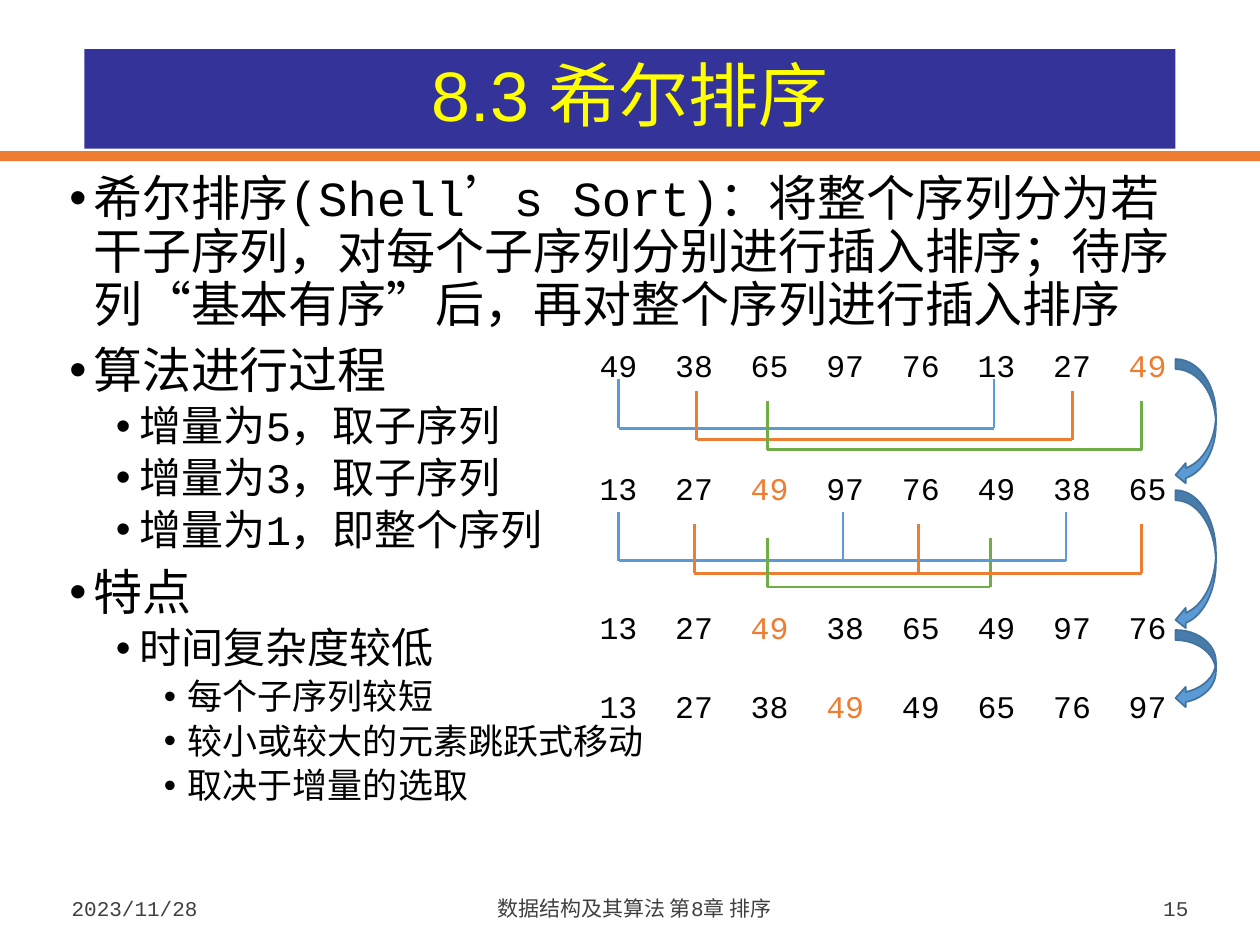
from lxml import etree
from pptx import Presentation
from pptx.dml.color import RGBColor
from pptx.enum.shapes import MSO_CONNECTOR, MSO_SHAPE
from pptx.enum.text import MSO_ANCHOR, PP_ALIGN
from pptx.oxml.ns import qn
from pptx.util import Inches, Pt

STRAIGHT = MSO_CONNECTOR.STRAIGHT
RECTANGLE = MSO_SHAPE.RECTANGLE
CURVED_ARROW = MSO_SHAPE.CURVED_LEFT_ARROW
LEFT, CENTER, RIGHT = PP_ALIGN.LEFT, PP_ALIGN.CENTER, PP_ALIGN.RIGHT
MIDDLE, BOTTOM, TOP = MSO_ANCHOR.MIDDLE, MSO_ANCHOR.BOTTOM, MSO_ANCHOR.TOP

COLORS = {
    "navy": "333399", "yellow": "FFFF00", "orange": "ED7D31", "blue": "5B9BD5",
    "green": "70AD47", "outline": "43739E", "black": "000000", "gray": "404040",
}
MONO = "Courier New"

TITLE = "8.3 希尔排序"
BODY = [
    (0, "希尔排序(Shell’s Sort)：将整个序列分为若干子序列，对每个子序列分别进行插入排序；"
        "待序列“基本有序”后，再对整个序列进行插入排序"),
    (0, "算法进行过程"),
    (1, "增量为5，取子序列"),
    (1, "增量为3，取子序列"),
    (1, "增量为1，即整个序列"),
    (0, "特点"),
    (1, "时间复杂度较低"),
    (2, "每个子序列较短"),
    (2, "较小或较大的元素跳跃式移动"),
    (2, "取决于增量的选取"),
]
LEVELS = [(28, 0.19, 7.5), (24, 0.56, 3.8), (20, 0.94, 3.8)]
FOOTERS = [
    ("2023/11/28", 0.47, 1.3, LEFT),
    ("数据结构及其算法 第8章 排序", 1.84, 6.39, CENTER),
    ("15", 8.35, 1.18, RIGHT),
]
SEQUENCES = [
    (2.7, [49, 38, 65, 97, 76, 13, 27, 49], 7),
    (3.67, [13, 27, 49, 97, 76, 49, 38, 65], 2),
    (4.78, [13, 27, 49, 38, 65, 49, 97, 76], 2),
    (5.4, [13, 27, 38, 49, 49, 65, 76, 97], 3),
]
COLUMN_PITCH = 0.6
BRACKETS = [
    ("blue", 3.01, 4.91, 7.89),
    ("orange", 3.1, 5.53, 8.51),
    ("green", 3.18, 6.09, 9.06),
    ("blue", 4.06, 4.91, 6.69),
    ("orange", 4.16, 5.51, 7.29),
    ("green", 4.27, 6.09, 7.86),
    ("blue", 4.06, 6.69, 8.46),
    ("orange", 4.16, 7.29, 9.06),
]
BRACKET_DEPTH = 0.39
ARROWS = [(2.85, 1), (3.89, 1.11), (5, 0.62)]


def color(name):
    return RGBColor.from_string(COLORS[name])


def style_font(font, size, name, color_name):
    font.size = Pt(size)
    font.name = name
    font.color.rgb = color(color_name)


def add_filled(slide, preset, box, fill, line=None):
    shape = slide.shapes.add_shape(preset, *map(Inches, box))
    shape.shadow.inherit = False
    shape.fill.solid()
    shape.fill.fore_color.rgb = color(fill)
    if line:
        shape.line.color.rgb = color(line)
        shape.line.width = Pt(1)
    else:
        shape.line.fill.background()
    return shape


def add_text_frame(slide, box, anchor=TOP):
    frame = slide.shapes.add_textbox(*map(Inches, box)).text_frame
    frame.word_wrap = True
    frame.vertical_anchor = anchor
    return frame


def add_title(slide):
    add_filled(slide, RECTANGLE, (0, 1.2, 10, 0.08), "orange")
    banner = add_filled(slide, RECTANGLE, (0.67, 0.39, 8.66, 0.79), "navy")
    banner.text_frame.vertical_anchor = MIDDLE
    paragraph = banner.text_frame.paragraphs[0]
    paragraph.text = TITLE
    paragraph.alignment = CENTER
    paragraph.line_spacing = 0.9
    style_font(paragraph.font, 40, "Arial", "yellow")


def add_footers(slide):
    for text, left, width, alignment in FOOTERS:
        frame = add_text_frame(slide, (left, 6.97, width, 0.39), BOTTOM)
        paragraph = frame.paragraphs[0]
        paragraph.text = text
        paragraph.alignment = alignment
        style_font(paragraph.font, 12, MONO, "gray")


def add_body(slide):
    frame = add_text_frame(slide, (0.47, 1.3, 9.06, 5.51))
    frame.margin_left = frame.margin_right = Inches(0.08)
    frame.margin_top = frame.margin_bottom = Inches(0.08)
    for index, (level, text) in enumerate(BODY):
        paragraph = frame.add_paragraph() if index else frame.paragraphs[0]
        size, margin, space = LEVELS[level]
        paragraph.text = text
        paragraph.level = level
        paragraph.line_spacing = 0.9
        if index:
            paragraph.space_before = Pt(space)
        properties = paragraph._p.get_or_add_pPr()
        properties.set("marL", str(Inches(margin)))
        properties.set("indent", str(-Inches(0.19)))
        etree.SubElement(properties, qn("a:buFont"), typeface="Arial")
        etree.SubElement(properties, qn("a:buChar"), char="•")
        style_font(paragraph.font, size, MONO, "black")


def add_sequence(slide, top, numbers, highlighted):
    frame = add_text_frame(slide, (4.66, top, 4.72, 0.4))
    paragraph = frame.paragraphs[0]
    tabs = etree.SubElement(paragraph._p.get_or_add_pPr(), qn("a:tabLst"))
    for column in range(1, len(numbers)):
        position = str(Inches(column * COLUMN_PITCH))
        etree.SubElement(tabs, qn("a:tab"), pos=position, algn="l")
    style_font(paragraph.font, 18, MONO, "black")
    for column, number in enumerate(numbers):
        run = paragraph.add_run()
        run.text = f"\t{number}" if column else str(number)
        if column == highlighted:
            run.font.color.rgb = color("orange")


def add_bracket(slide, color_name, top, left, right):
    group = slide.shapes.add_group_shape()
    bottom = top + BRACKET_DEPTH
    corners = [(left, top), (left, bottom), (right, bottom), (right, top)]
    for start, end in zip(corners, corners[1:]):
        line = group.shapes.add_connector(STRAIGHT, *map(Inches, start + end))
        line.line.color.rgb = color(color_name)
        line.line.width = Pt(1.5)
        etree.SubElement(line._element.spPr, qn("a:effectLst"))


def main():
    presentation = Presentation()
    presentation.slide_width = Inches(10)
    presentation.slide_height = Inches(7.5)
    slide = presentation.slides.add_slide(presentation.slide_layouts[6])
    add_title(slide)
    add_footers(slide)
    add_body(slide)
    for sequence in SEQUENCES:
        add_sequence(slide, *sequence)
    for bracket in BRACKETS:
        add_bracket(slide, *bracket)
    for top, height in ARROWS:
        add_filled(slide, CURVED_ARROW, (9.33, top, 0.32, height), "blue", "outline")
    presentation.save("out.pptx")


if __name__ == "__main__":
    main()
